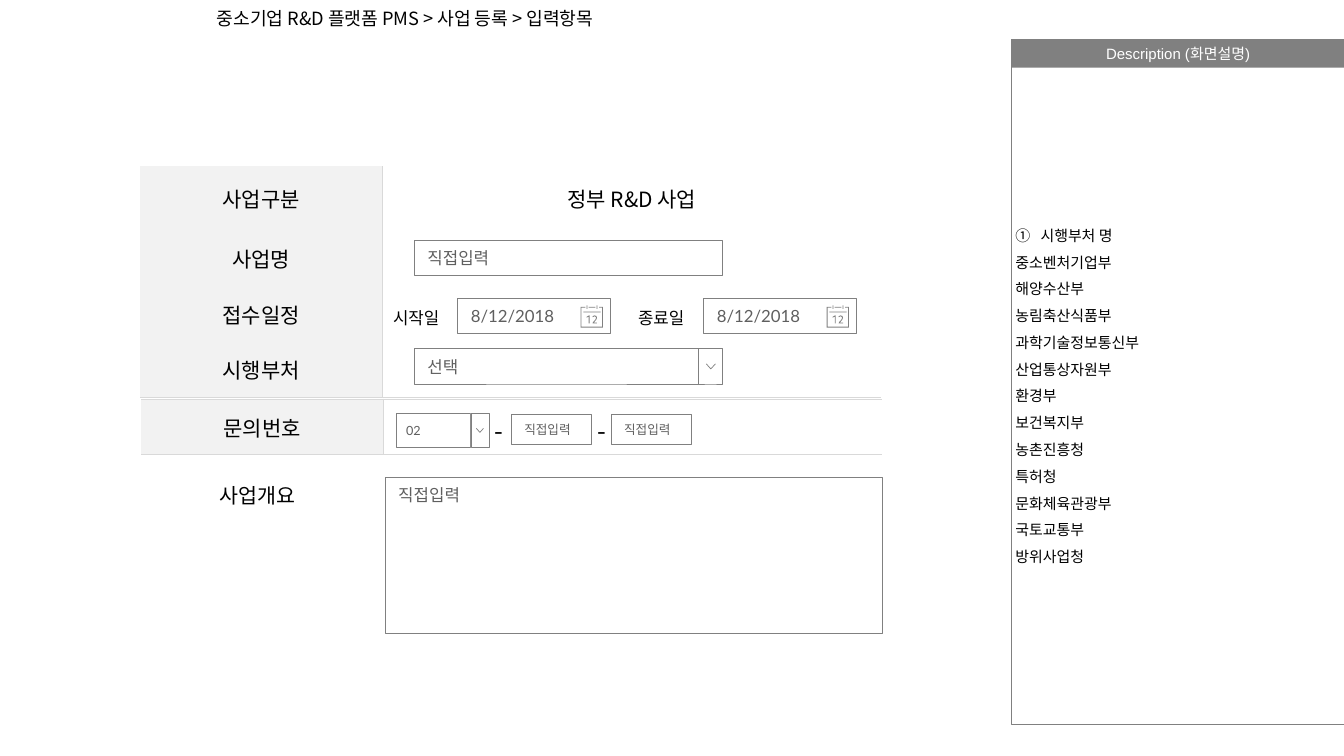
from lxml.etree import SubElement
from pptx import Presentation
from pptx.dml.color import RGBColor
from pptx.enum.shapes import MSO_SHAPE
from pptx.enum.text import MSO_ANCHOR, MSO_AUTO_SIZE, PP_ALIGN
from pptx.oxml.ns import qn
from pptx.util import Inches, Pt

WHITE = RGBColor(0xFF, 0xFF, 0xFF)
BLACK = RGBColor(0x00, 0x00, 0x00)
GRAY = RGBColor(0x80, 0x80, 0x80)
INPUT_GRAY = RGBColor(0x5F, 0x5F, 0x5F)
LABEL_FILL = RGBColor(0xF2, 0xF2, 0xF2)
RULE_GRAY = RGBColor(0xD9, 0xD9, 0xD9)
KOREAN = "Noto Sans CJK KR"


def write(tf, lines, size=12, font=KOREAN, color=BLACK, align=PP_ALIGN.LEFT,
          anchor=MSO_ANCHOR.MIDDLE, insets=None, wrap=True, spacing=None, before=0):
    """Fill a text frame, one paragraph per line of text; insets are l, t, r, b in inches."""
    tf.word_wrap = wrap
    tf.auto_size = MSO_AUTO_SIZE.NONE
    tf.vertical_anchor = anchor
    if insets:
        tf.margin_left, tf.margin_top, tf.margin_right, tf.margin_bottom = map(Inches, insets)
    for i, line in enumerate(lines.split("\n")):
        p = tf.add_paragraph() if i else tf.paragraphs[0]
        p.alignment, p.line_spacing, p.space_before = align, spacing, Pt(before)
        r = p.add_run()
        r.text = line
        r.font.size, r.font.name, r.font.color.rgb = Pt(size), font, color
        SubElement(r.font._element, qn("a:ea"), typeface=KOREAN)


def add_box(x, y, w, h, text="", fill=WHITE, line=GRAY, line_width=0.5, **fmt):
    sp = s.shapes.add_shape(MSO_SHAPE.RECTANGLE, Inches(x), Inches(y), Inches(w), Inches(h))
    sp.shadow.inherit = False
    if fill is None:
        sp.fill.background()
    else:
        sp.fill.solid()
        sp.fill.fore_color.rgb = fill
    if line is None:
        sp.line.fill.background()
    else:
        sp.line.color.rgb = line
        sp.line.width = Pt(line_width)
    if text:
        write(sp.text_frame, text, **fmt)


prs = Presentation()
prs.slide_width, prs.slide_height = Inches(13.33), Inches(7.5)
s = prs.slides.add_slide(prs.slide_layouts[1])

# Title
title = s.shapes.title
title.left, title.top, title.width, title.height = map(Inches, (2.05, 0, 7.87, 0.39))
write(title.text_frame, "중소기업 R&D 플랫폼 PMS > 사업 등록 > 입력항목", size=13, spacing=0.9)

# Description panel
add_box(10.03, 0.39, 3.31, 0.28, "Description (화면설명)", fill=GRAY, line=None, size=10.7,
        font="Arial", color=WHITE, align=PP_ALIGN.CENTER, insets=(0.11, 0.06, 0.11, 0.06))
add_box(10.03, 0.39, 3.31, 6.8, fill=None, line_width=0.75)

ministries = ["시행부처 명", "중소벤처기업부", "해양수산부", "농림축산식품부", "과학기술정보통신부",
              "산업통상자원부", "환경부", "보건복지부", "농촌진흥청", "특허청", "문화체육관광부",
              "국토교통부", "방위사업청"]
body = s.placeholders[1]
body.left, body.top, body.width, body.height = map(Inches, (10.03, 0.67, 3.31, 6.54))
write(body.text_frame, "\n".join(ministries), size=10.7, spacing=0.9, before=7.6,
      insets=(0.04, 0.05, 0, 0.05))
for i, p in enumerate(body.text_frame.paragraphs):
    pPr = p._p.get_or_add_pPr()
    indent = 0 if i else Inches(0.25)
    pPr.set("marL", str(indent))
    pPr.set("indent", str(-indent))
    if i:
        SubElement(pPr, qn("a:buNone"))
    else:
        SubElement(pPr, qn("a:buFont"), typeface=KOREAN)
        SubElement(pPr, qn("a:buAutoNum"), type="circleNumDbPlain")

# Form tables: position, row heights, rows, ruled sides of label and value cells
tables = [
    (1.39, 1.65, [0.63, 0.56, 0.55, 0.55],
     [("사업구분", "정부 R&D 사업"), ("사업명", ""), ("접수일정", ""), ("시행부처", "")], ("RB", "LB")),
    (1.4, 3.96, [0.55], [("문의번호", "")], ("TB", "LTB")),
]
for x, y, heights, rows, ruled in tables:
    tbl = s.shapes.add_table(len(rows), 2, Inches(x), Inches(y),
                             Inches(7.35), Inches(sum(heights))).table
    tbl.first_row = tbl.horz_banding = False
    tbl.columns[0].width, tbl.columns[1].width = Inches(2.4), Inches(4.95)
    for i, row in enumerate(rows):
        tbl.rows[i].height = Inches(heights[i])
        for j, text in enumerate(row):
            cell = tbl.cell(i, j)
            cell.vertical_anchor = MSO_ANCHOR.MIDDLE
            cell.margin_left = cell.margin_right = Inches(0.13)
            cell.margin_top = cell.margin_bottom = Inches(0.07)
            tcPr = cell._tc.get_or_add_tcPr()
            for side in "LRTB":
                ln = SubElement(tcPr, qn("a:ln" + side), w=str(Pt(1)))
                if side in ruled[j]:
                    rule = SubElement(ln, qn("a:solidFill"))
                    SubElement(rule, qn("a:srgbClr"), val=str(RULE_GRAY))
                else:
                    SubElement(ln, qn("a:noFill"))
            if j == 0:
                cell.fill.solid()
                cell.fill.fore_color.rgb = LABEL_FILL
            else:
                cell.fill.background()
            if text:
                p = cell.text_frame.paragraphs[0]
                p.alignment = PP_ALIGN.CENTER
                r = p.add_run()
                r.text = text
                r.font.size, r.font.name, r.font.color.rgb = Pt(15), KOREAN, BLACK
                SubElement(r.font._element, qn("a:ea"), typeface=KOREAN)

# Input fields
field = dict(font="Lato", color=INPUT_GRAY, insets=(0.13, 0.07, 0.13, 0.07))
add_box(4.11, 2.38, 3.06, 0.35, "직접입력", **field)
add_box(3.82, 4.74, 4.93, 1.54, "직접입력", anchor=MSO_ANCHOR.TOP, **field)
for x in (5.07, 6.06):
    add_box(x, 4.11, 0.8, 0.3, "직접입력", size=9, **field)

# Date fields with calendar icons, outlined in thousandths of an inch
bars = [(58, 0, 66, 36), (158, 0, 166, 36), (78, 14, 146, 22), (26, 62, 198, 70)]
calendar = [[(l, t), (l, b), (r, b), (r, t)] for l, t, r, b in bars] + [
    [(0, 14), (0, 220), (220, 220), (220, 14), (182, 14), (182, 22), (212, 22),
     (212, 212), (8, 212), (8, 22), (46, 22), (46, 14)],
    [(82, 100), (58, 114), (58, 122), (80, 112), (80, 180), (88, 180), (88, 100)],
    [(118, 108), (138, 100), (156, 106), (162, 122), (156, 140), (130, 172), (162, 172),
     (162, 180), (118, 180), (122, 168), (148, 138), (153, 120), (140, 108), (118, 118)],
]
for x in (4.54, 6.98):
    add_box(x, 2.96, 1.51, 0.35, "8/12/2018", **field)
    fb = s.shapes.build_freeform(*calendar[0][0], scale=1000 / Inches(1) * Inches(0.001) ** 2)
    for i, contour in enumerate(calendar):
        if i:
            fb.move_to(*contour[0])
        fb.add_line_segments(contour[1:], close=True)
    icon = fb.convert_to_shape(Inches(x + 1.22), Inches(3.03))
    icon.shadow.inherit = False
    icon.fill.solid()
    icon.fill.fore_color.rgb = GRAY
    icon.line.fill.background()

# Drop-down lists: position, size, button width, chevron size, text
dropdowns = [
    (4.11, 3.46, 2.82, 0.35, 0.24, 0.09, 0.05, "선택", 12, (0.13, 0.07, 0.13, 0.07)),
    (3.93, 4.1, 0.74, 0.34, 0.18, 0.07, 0.04, "02", 9, (0.1, 0.06, 0.1, 0.06)),
]
for x, y, w, h, button, cw, ch, text, size, insets in dropdowns:
    add_box(x, y, w, h, text, size=size, font="Lato", color=INPUT_GRAY, insets=insets)
    add_box(x + w, y, button, h)
    cx, cy = x + w + (button - cw) / 2, y + (h - ch) / 2
    fb = s.shapes.build_freeform(Inches(cx), Inches(cy))
    fb.add_line_segments([(Inches(cx + cw / 2), Inches(cy + ch)),
                          (Inches(cx + cw), Inches(cy))], close=False)
    chevron = fb.convert_to_shape()
    chevron.shadow.inherit = False
    chevron.fill.solid()
    chevron.fill.fore_color.rgb = WHITE
    chevron.line.color.rgb = GRAY
    chevron.line.width = Pt(0.5)

# Free-standing labels
labels = [("시작일", 3.8, 3, 0.71, 0.3, 12), ("종료일", 6.23, 3, 0.71, 0.3, 12),
          ("사업개요", 2.08, 4.74, 1.02, 0.35, 14.7),
          ("-", 4.81, 4.07, 0.31, 0.4, 18), ("-", 5.83, 4.07, 0.31, 0.4, 18)]
for text, x, y, w, h, size in labels:
    tb = s.shapes.add_textbox(Inches(x), Inches(y), Inches(w), Inches(h))
    write(tb.text_frame, text, size=size, anchor=MSO_ANCHOR.TOP, wrap=False)

prs.save("out.pptx")
